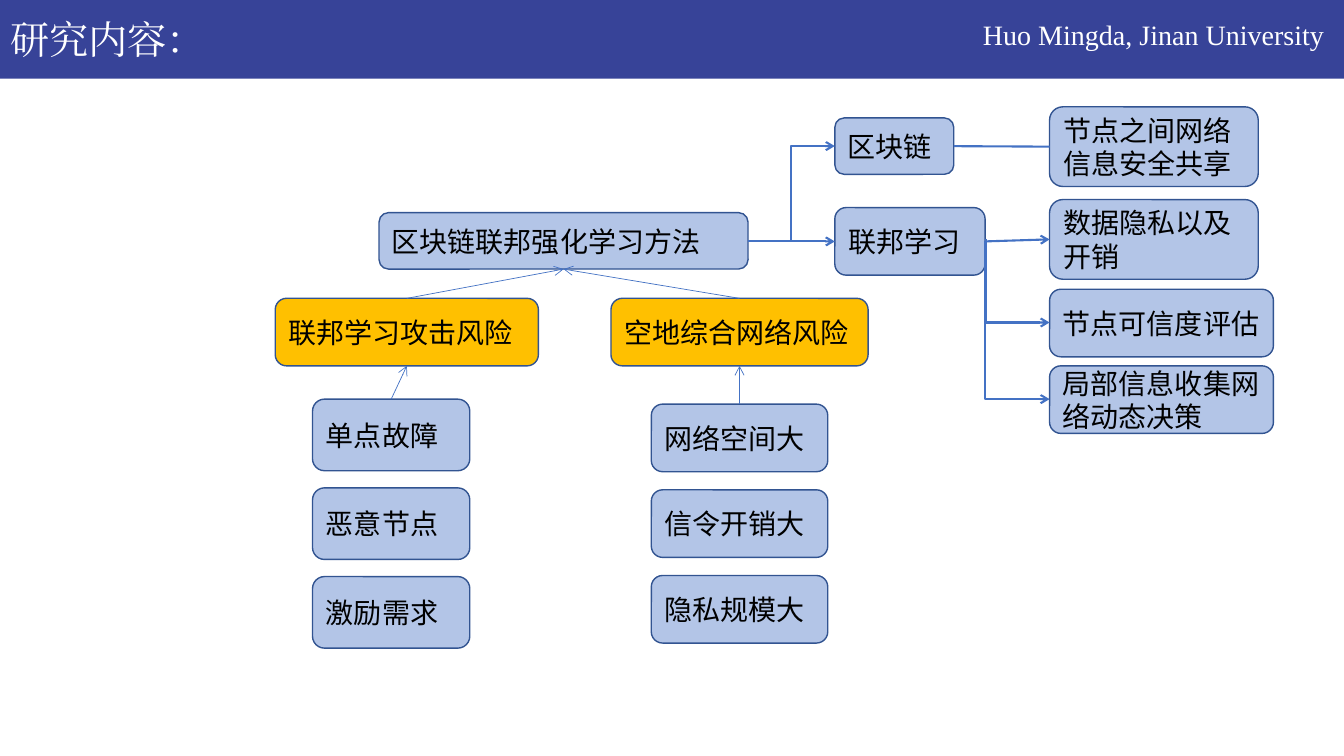
from lxml import etree
from pptx import Presentation
from pptx.dml.color import RGBColor
from pptx.enum.shapes import MSO_CONNECTOR as Link, MSO_SHAPE as Shape
from pptx.enum.text import MSO_ANCHOR as Anchor, MSO_AUTO_SIZE as Auto, PP_ALIGN as Align
from pptx.oxml.ns import qn
from pptx.util import Inches, Pt

NAVY = RGBColor(0x37, 0x43, 0x98)
WHITE = RGBColor(0xFF, 0xFF, 0xFF)
BLACK = RGBColor(0, 0, 0)
PALE = RGBColor(0x8F, 0xAA, 0xDC)
GOLD = RGBColor(0xFF, 0xC0, 0x00)
EDGE = RGBColor(0x32, 0x54, 0x91)
BLUE = RGBColor(0x44, 0x72, 0xC4)
SANS, SERIF = "Noto Sans CJK SC", "Times New Roman"
TOP, LEFT, BOTTOM, RIGHT = range(4)

# Content: text, left, top, width, height, inset, size
HEADS = [
    ("研究内容：", 0.1, 0.15, 6.85, 0.47, 0, 28),
    ("Huo Mingda, Jinan University", 9.65, 0.12, 3.75, 0.44, None, 20),
]
# Key: text, left, top, width, height, fill
NODES = {
    "method": ("区块链联邦强化学习方法", 3.76, 2.11, 3.66, 0.56, PALE),
    "attack": ("联邦学习攻击风险", 2.73, 2.96, 2.61, 0.67, GOLD),
    "network": ("空地综合网络风险", 6.06, 2.96, 2.55, 0.67, GOLD),
    "chain": ("区块链", 8.28, 1.17, 1.18, 0.56, PALE),
    "learn": ("联邦学习", 8.28, 2.06, 1.49, 0.67, PALE),
    "share": ("节点之间网络信息安全共享", 10.41, 1.06, 2.07, 0.79, PALE),
    "cost": ("数据隐私以及开销", 10.41, 1.98, 2.07, 0.79, PALE),
    "trust": ("节点可信度评估", 10.41, 2.87, 2.22, 0.67, PALE),
    "local": ("局部信息收集网络动态决策", 10.41, 3.63, 2.22, 0.67, PALE),
}
# Stacks of causes: labels, left, top, width, height, step
STACKS = [
    (["单点故障", "恶意节点", "激励需求"], 3.1, 3.96, 1.56, 0.71, 0.88),
    (["网络空间大", "信令开销大", "隐私规模大"], 6.46, 4.01, 1.75, 0.67, 0.85),
]
# Links: from, side, to, side, kind, width, arrow
LINKS = [
    ("attack", TOP, "method", BOTTOM, Link.STRAIGHT, 0.5, True),
    ("network", TOP, "method", BOTTOM, Link.STRAIGHT, 0.5, True),
    ("单点故障", TOP, "attack", BOTTOM, Link.STRAIGHT, 0.5, True),
    ("网络空间大", TOP, "network", BOTTOM, Link.STRAIGHT, 0.5, True),
    ("method", RIGHT, "chain", LEFT, Link.ELBOW, 1.5, True),
    ("method", RIGHT, "learn", LEFT, Link.ELBOW, 1.5, True),
    ("chain", RIGHT, "share", LEFT, Link.STRAIGHT, 1.5, False),
    ("learn", RIGHT, "cost", LEFT, Link.STRAIGHT, 1.5, True),
]
# Down-then-right bends: start x, start y, end x, end y
BENDS = [(9.78, 2.37, 10.41, 3.2), (9.77, 2.39, 10.41, 3.96)]

deck = Presentation()
deck.slide_width, deck.slide_height = Inches(13.33), Inches(7.5)
slide = deck.slides.add_slide(deck.slide_layouts[6])
shapes = slide.shapes


def write(frame, text, size, face, color):
    frame.word_wrap = True
    para = frame.paragraphs[0]
    para.text = text
    para.alignment = Align.LEFT
    font = para.font
    font.size, font.name, font.color.rgb = Pt(size), face, color
    props = para._p.get_or_add_pPr().find(qn("a:defRPr"))
    etree.SubElement(props, qn("a:ea")).set("typeface", face)


def panel(kind, left, top, width, height, fill):
    box = shapes.add_shape(kind, *map(Inches, (left, top, width, height)))
    box.shadow.inherit = False
    box.fill.solid()
    box.fill.fore_color.rgb = fill
    return box


def node(text, left, top, width, height, fill):
    box = panel(Shape.ROUNDED_RECTANGLE, left, top, width, height, fill)
    if fill == PALE:
        tint = box._element.spPr.find(qn("a:solidFill"))[0]
        etree.SubElement(tint, qn("a:alpha")).set("val", "68000")
    box.line.color.rgb, box.line.width = EDGE, Pt(1)
    box.text_frame.vertical_anchor = Anchor.MIDDLE
    write(box.text_frame, text, 20, SANS, BLACK)
    return box


def link(kind, ends, width, arrow):
    line = shapes.add_connector(kind, *map(Inches, ends))
    line.line.color.rgb, line.line.width = BLUE, Pt(width)
    if arrow:
        tail = etree.SubElement(line.line._get_or_add_ln(), qn("a:tailEnd"))
        tail.set("type", "arrow")
    etree.SubElement(line._element.spPr, qn("a:effectLst"))
    return line


# Header band
band = panel(Shape.RECTANGLE, 0, 0, 13.33, 0.78, NAVY)
band.line.fill.background()
for text, left, top, width, height, inset, size in HEADS:
    frame = shapes.add_textbox(*map(Inches, (left, top, width, height))).text_frame
    if inset is not None:
        frame.margin_left = frame.margin_right = Inches(inset)
        frame.margin_top = frame.margin_bottom = Inches(inset)
    frame.auto_size = Auto.SHAPE_TO_FIT_TEXT
    write(frame, text, size, SERIF, WHITE)

# Boxes
boxes = {key: node(*item) for key, item in NODES.items()}
for labels, left, top, width, height, step in STACKS:
    for row, text in enumerate(labels):
        boxes[text] = node(text, left, top + row * step, width, height, PALE)

# Joined links
for start, out, end, into, kind, width, arrow in LINKS:
    line = link(kind, (0, 0, 1, 1), width, arrow)
    line.begin_connect(boxes[start], out)
    line.end_connect(boxes[end], into)

# Bends: a right-then-up corner, turned by 90 degrees
for x1, y1, x2, y2 in BENDS:
    midx, midy = (x1 + x2) / 2, (y1 + y2) / 2
    across, down = (y2 - y1) / 2, (x2 - x1) / 2
    ends = (midx - across, midy + down, midx + across, midy - down)
    props = link(Link.ELBOW, ends, 1.5, True)._element.spPr
    props.find(qn("a:xfrm")).set("rot", "5400000")
    props.find(qn("a:prstGeom")).set("prst", "bentConnector2")

deck.save("out.pptx")
